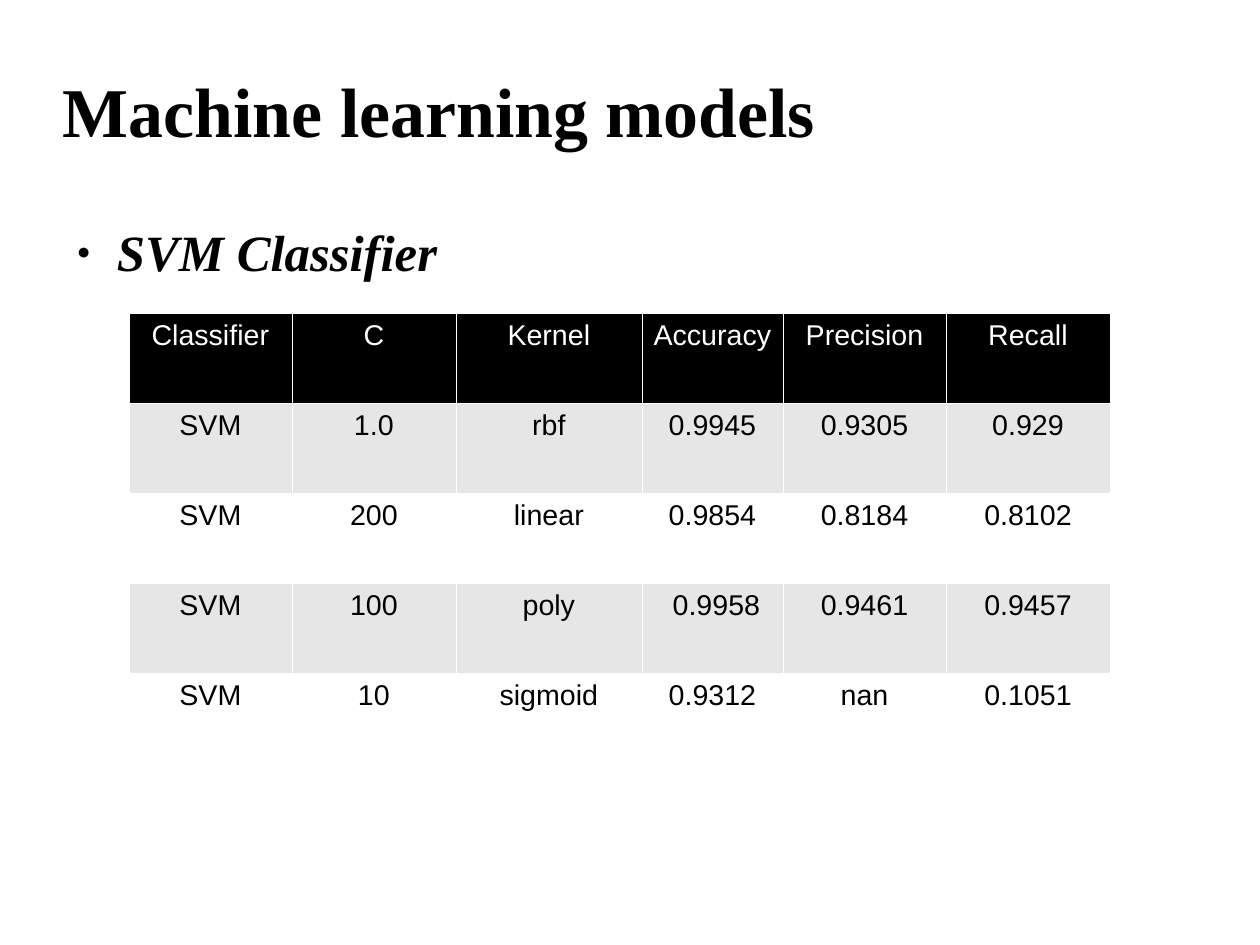
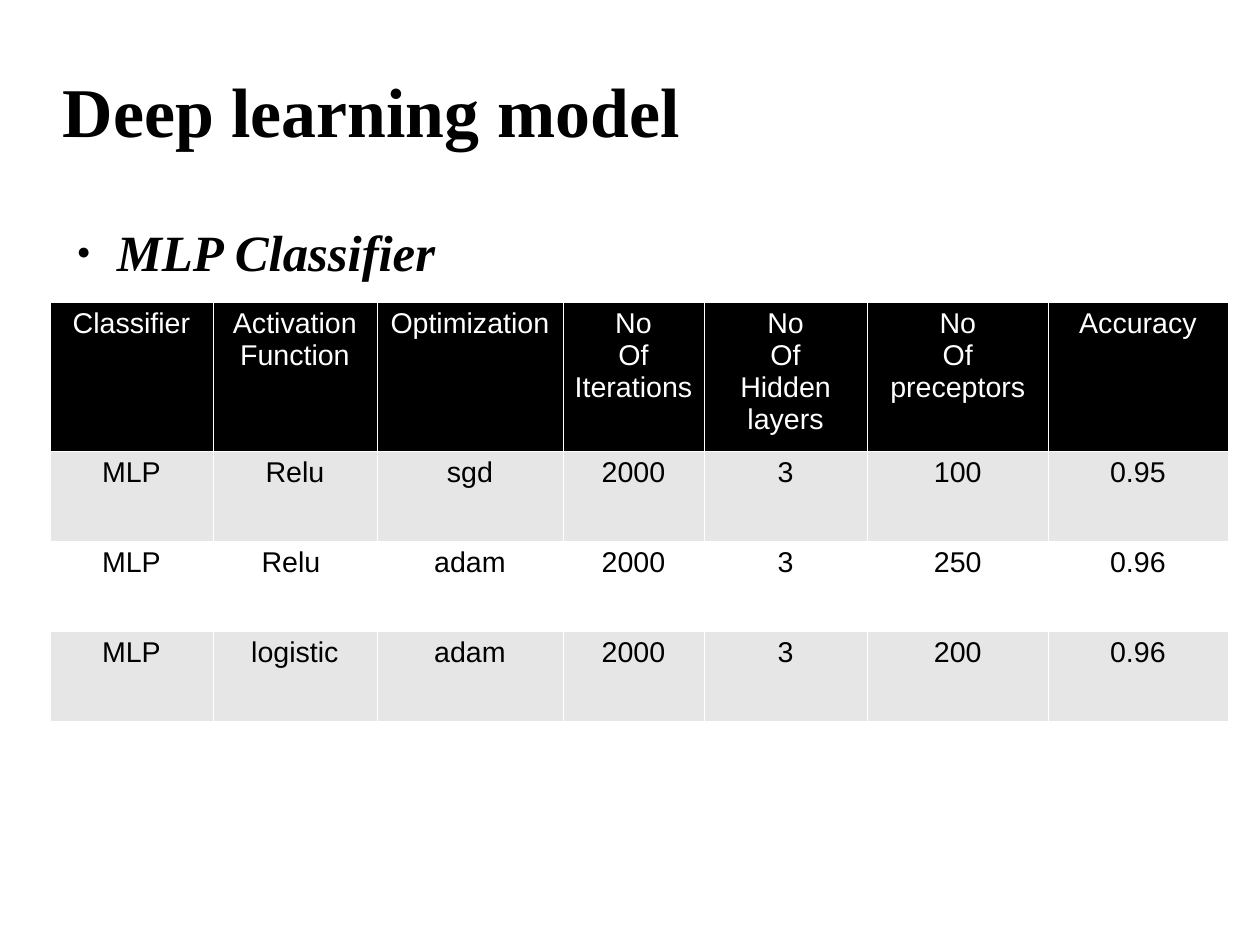
from lxml import etree
from pptx import Presentation
from pptx.dml.color import RGBColor as RGB
from pptx.enum.text import MSO_ANCHOR as ANCHOR, PP_ALIGN as ALIGN
from pptx.oxml.ns import qn
from pptx.util import Pt

COLORS = {"black": "000000", "white": "FFFFFF", "band": "E6E6E6"}
TITLE = {"name": "Times New Roman", "size": Pt(44), "bold": True}
SUBTITLE = {"name": "Times New Roman", "size": Pt(32), "bold": True, "italic": True}
CELL = {"name": "Arial", "size": Pt(18), "bold": False}
CELL_MARGINS = {"margin_left": Pt(7.2), "margin_right": Pt(7.2),
                "margin_top": Pt(3.6), "margin_bottom": Pt(3.6)}
NO_MARGINS = dict.fromkeys(CELL_MARGINS, 0)
BORDER = Pt(0.06)
ROW_HEIGHT = Pt(56.7)

SVM_WIDTHS = [103, 103, 117.5, 88.6, 103, 103]
SVM_ROWS = [
    ["Classifier", "C", "Kernel", "Accuracy", "Precision", "Recall"],
    ["SVM", "1.0", "rbf", "0.9945", "0.9305", "0.929"],
    ["SVM", "200", "linear", "0.9854", "0.8184", "0.8102"],
    ["SVM", "100", "poly", " 0.9958", "0.9461", "0.9457"],
    ["SVM", "10", "sigmoid", "0.9312", "nan", "0.1051"],
]
MLP_WIDTHS = [103, 103, 117.5, 88.6, 103, 114, 113]
MLP_ROWS = [
    ["Classifier", "Activation\nFunction", "Optimization", "No\nOf\nIterations",
     "No\nOf\nHidden layers", "No\nOf\npreceptors", "Accuracy"],
    ["MLP", "Relu", "sgd", "2000", "3", "100", "0.95"],
    ["MLP", "Relu ", "adam", "2000", "3", "250", "0.96"],
    ["MLP", "logistic", "adam", "2000", "3", "200", "0.96"],
]


def set_attrs(obj, values):
    for name, value in values.items():
        setattr(obj, name, value)


def format_text(tf, font, color):
    for p in tf.paragraphs:
        for r in p.runs:
            set_attrs(r.font, font)
            r.font.color.rgb = RGB.from_string(COLORS[color])


def add_text(s, box, text, font, anchor=ANCHOR.TOP):
    tf = s.shapes.add_textbox(*map(Pt, box)).text_frame
    set_attrs(tf, {**NO_MARGINS, "word_wrap": True, "vertical_anchor": anchor})
    tf.text = text
    format_text(tf, font, "black")
    return tf.paragraphs[0]


def add_solid_fill(parent, color):
    fill = etree.SubElement(parent, qn("a:solidFill"))
    etree.SubElement(fill, qn("a:srgbClr"), val=COLORS[color])


def add_bullet(p):
    p.space_after = Pt(14.2)
    pPr = p._p.get_or_add_pPr()
    pPr.set("marL", str(Pt(34)))
    pPr.set("indent", str(Pt(-25.2)))
    bullet_color = etree.SubElement(pPr, qn("a:buClr"))
    etree.SubElement(bullet_color, qn("a:srgbClr"), val=COLORS["black"])
    etree.SubElement(pPr, qn("a:buSzPct"), val="45000")
    etree.SubElement(pPr, qn("a:buFont"), typeface="Arial")
    etree.SubElement(pPr, qn("a:buChar"), char="●")


def add_borders(cell):
    tcPr = cell._tc.get_or_add_tcPr()
    for side in ("lnL", "lnR", "lnT", "lnB"):
        line = etree.SubElement(tcPr, qn(f"a:{side}"), w=str(BORDER))
        add_solid_fill(line, "white")


def format_cell(cell, text, fill, color):
    set_attrs(cell, CELL_MARGINS)
    add_borders(cell)
    cell.fill.solid()
    cell.fill.fore_color.rgb = RGB.from_string(COLORS[fill])
    cell.text = text
    for p in cell.text_frame.paragraphs:
        p.alignment = ALIGN.CENTER
    format_text(cell.text_frame, CELL, color)


def add_banded_table(s, left, top, widths, rows):
    frame = s.shapes.add_table(len(rows), len(widths), Pt(left), Pt(top),
                               Pt(sum(widths)), ROW_HEIGHT * len(rows))
    table = frame.table
    set_attrs(table, {"first_row": False, "horz_banding": False})
    for column, width in zip(table.columns, widths):
        column.width = Pt(width)
    for i, row in enumerate(rows):
        table.rows[i].height = ROW_HEIGHT
        fill = "black" if i == 0 else "band" if i % 2 else "white"
        color = "white" if i == 0 else "black"
        for j, text in enumerate(row):
            format_cell(table.cell(i, j), text, fill, color)


def add_model_slide(prs, title, subtitle, left, top, widths, rows):
    s = prs.slides.add_slide(prs.slide_layouts[6])
    add_text(s, (39.6, 23.8, 607, 90), title, TITLE, ANCHOR.MIDDLE)
    add_bullet(add_text(s, (39.6, 139, 340.6, 48), subtitle, SUBTITLE))
    add_banded_table(s, left, top, widths, rows)


def main():
    prs = Presentation()
    prs.slide_width, prs.slide_height = Pt(793.7), Pt(595.3)
    add_model_slide(prs, "Machine learning models", "SVM Classifier",
                    81, 197.5, SVM_WIDTHS, SVM_ROWS)
    add_model_slide(prs, "Deep learning model", "MLP Classifier",
                    31.3, 190.4, MLP_WIDTHS, MLP_ROWS)
    prs.save("out.pptx")


if __name__ == "__main__":
    main()
